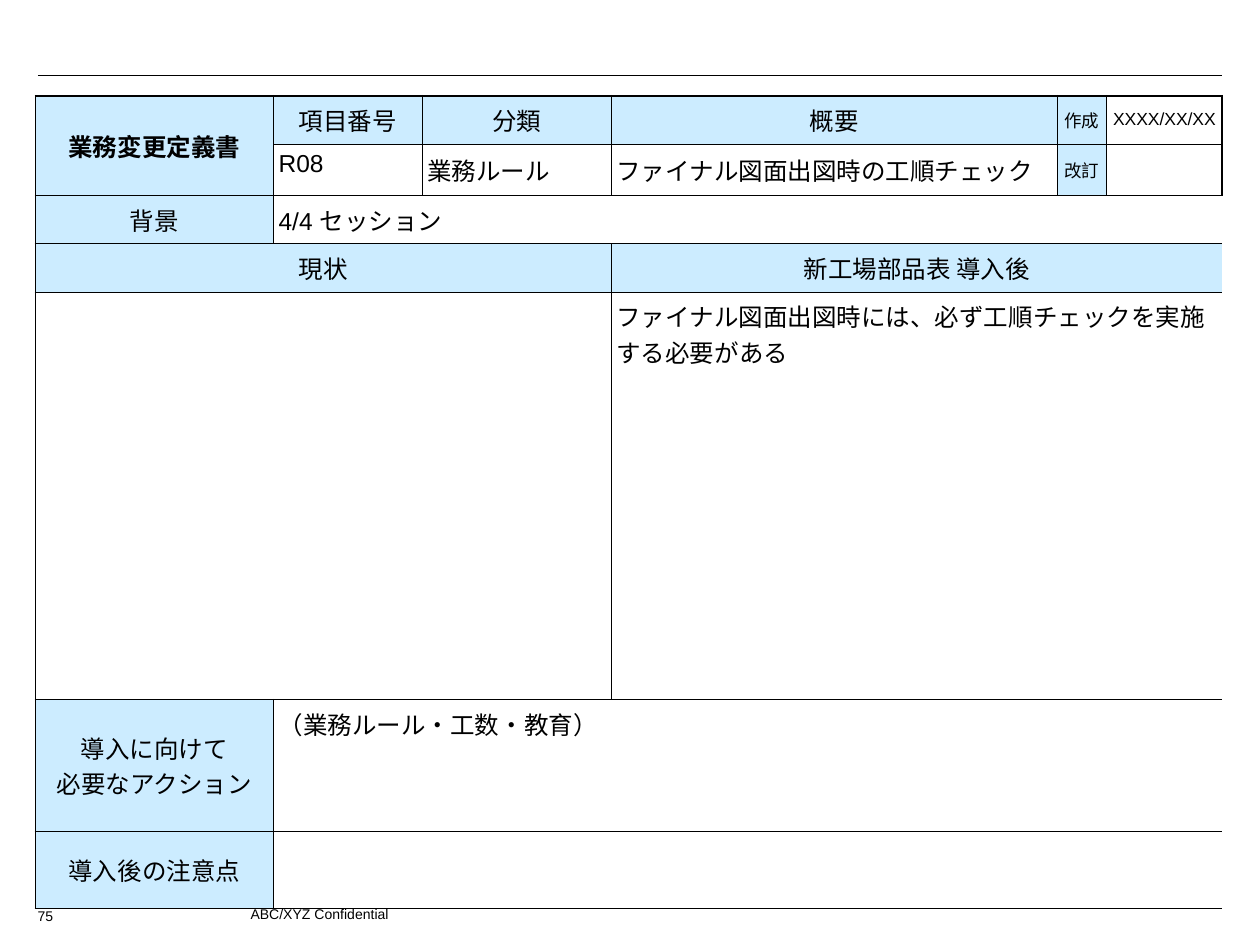
from dataclasses import dataclass
from itertools import product
from lxml.etree import SubElement
from pptx import Presentation
from pptx.dml.color import RGBColor
from pptx.enum.shapes import MSO_CONNECTOR
from pptx.enum.text import MSO_ANCHOR, PP_ALIGN
from pptx.oxml.ns import qn
from pptx.util import Pt


@dataclass(frozen=True)
class Theme:
    """Colours, font and sizes of the form."""
    ink: str = "000000"
    head: str = "CCECFF"
    font: str = "Arial"
    body: float = 14
    date: float = 10
    foot: float = 8
    thin: float = 0.45
    thick: float = 1.08


@dataclass(frozen=True)
class Field:
    """One form field: place, span, text and look."""
    row: int
    col: int
    text: str = ""
    high: int = 1
    wide: int = 1
    head: bool = False
    mid: bool = False
    center: bool = False
    bold: bool = False
    size: float = Theme.body
    side: float = 2.9


def label(row, col, text, **look):
    """Return a shaded, centred heading field."""
    return Field(row, col, text, head=True, mid=True, center=True, **look)


THEME = Theme()
COLS = [136.1, 85, 108, 254.9, 28.1, 66.2]
ROWS = [22.4, 22.4, 22.8, 22.4, 232.8, 75.4, 44.2]
FIELDS = [
    label(0, 0, "業務変更定義書", high=2, bold=True),
    label(0, 1, "項目番号"),
    label(0, 2, "分類"),
    label(0, 3, "概要"),
    label(0, 4, "作成", size=THEME.date, side=1.4),
    Field(0, 5, "XXXX/XX/XX", mid=True, center=True, size=THEME.date),
    Field(1, 1, "R08"),
    Field(1, 2, "業務ルール", mid=True),
    Field(1, 3, "ファイナル図面出図時の工順チェック", mid=True),
    label(1, 4, "改訂", size=THEME.date, side=1.4),
    Field(1, 5),
    label(2, 0, "背景"),
    Field(2, 1, "4/4 セッション", wide=5),
    label(3, 0, "現状", wide=3),
    label(3, 3, "新工場部品表 導入後", wide=3),
    Field(4, 0, wide=3),
    Field(4, 3, "ファイナル図面出図時には、必ず工順チェックを実施する必要がある", wide=3),
    label(5, 0, "導入に向けて\n必要なアクション"),
    Field(5, 1, "（業務ルール・工数・教育）", wide=5),
    label(6, 0, "導入後の注意点"),
    Field(6, 1, wide=5),
]


def write(frame, text, size, bold=False, align=PP_ALIGN.LEFT):
    """Fill a text frame, one paragraph for each line of text."""
    for pos, line in enumerate(text.split("\n")):
        para = frame.add_paragraph() if pos else frame.paragraphs[0]
        para.alignment = align
        if line:
            run = para.add_run()
            run.text = line
            run.font.name = THEME.font
            run.font.size = Pt(size)
            run.font.bold = bold
            run.font.color.rgb = RGBColor.from_string(THEME.ink)


def border(cell, edges):
    """Draw the four cell borders; a width of zero hides one."""
    props = cell._tc.get_or_add_tcPr()
    for name, width in edges.items():
        line = SubElement(props, qn(f"a:ln{name}"), w=str(Pt(width)))
        if width:
            fill = SubElement(line, qn("a:solidFill"))
            SubElement(fill, qn("a:srgbClr"), val=THEME.ink)
        else:
            SubElement(line, qn("a:noFill"))


def outline(table, field):
    """Border a field, heavy where it meets the edge of the table."""
    last, end = field.row + field.high - 1, field.col + field.wide - 1
    rows, cols = range(field.row, last + 1), range(field.col, end + 1)

    def width(inner, outer):
        return THEME.thick if outer else THEME.thin if inner else 0

    for row, col in product(rows, cols):
        border(table.cell(row, col), {
            "L": width(col == field.col, col == 0),
            "R": width(col == end, col == len(COLS) - 1),
            "T": width(row == field.row, row == 0),
            "B": width(row == last, row == len(ROWS) - 1),
        })


def place(table, field):
    """Merge, border, shade and write one field."""
    cell = table.cell(field.row, field.col)
    if field.high * field.wide > 1:
        cell.merge(table.cell(field.row + field.high - 1, field.col + field.wide - 1))
    outline(table, field)
    if field.head:
        cell.fill.solid()
        cell.fill.fore_color.rgb = RGBColor.from_string(THEME.head)
    else:
        cell.fill.background()
    cell.margin_left = cell.margin_right = Pt(field.side)
    cell.margin_top = cell.margin_bottom = Pt(3.6)
    cell.vertical_anchor = MSO_ANCHOR.MIDDLE if field.mid else MSO_ANCHOR.TOP
    align = PP_ALIGN.CENTER if field.center else PP_ALIGN.LEFT
    write(cell.text_frame, field.text, field.size, field.bold, align)


def form(slide, left, top):
    """Build the change definition form."""
    table = slide.shapes.add_table(
        len(ROWS), len(COLS), Pt(left), Pt(top), Pt(sum(COLS)), Pt(sum(ROWS))).table
    table.first_row = table.horz_banding = False
    for col, width in zip(table.columns, COLS):
        col.width = Pt(width)
    for row, height in zip(table.rows, ROWS):
        row.height = Pt(height)
    for field in FIELDS:
        place(table, field)


def rule(slide, left, top, width):
    """Draw the line above the form."""
    line = slide.shapes.add_connector(
        MSO_CONNECTOR.STRAIGHT, Pt(left), Pt(top), Pt(left + width), Pt(top))
    line.line.color.rgb = RGBColor.from_string(THEME.ink)
    line.line.width = Pt(0.75)
    SubElement(line._element.spPr, qn("a:effectLst"))


def footer(slide, left, top):
    """Place the confidentiality note and the page number."""
    notes = [(121.7, 0, 468, "ABC/XYZ Confidential"), (0, 0.7, 28.8, "75")]
    for across, down, width, text in notes:
        box = slide.shapes.add_textbox(
            Pt(left + across), Pt(top + down), Pt(width), Pt(14.4))
        box.text_frame.word_wrap = True
        write(box.text_frame, text, THEME.foot)


def main():
    """Build and save the slide."""
    deck = Presentation()
    deck.slide_width, deck.slide_height = Pt(720), Pt(540)
    slide = deck.slides.add_slide(deck.slide_layouts[6])
    rule(slide, 21.6, 43.2, 676.8)
    form(slide, 20.2, 54.7)
    footer(slide, 14.4, 514.1)
    deck.save("out.pptx")


if __name__ == "__main__":
    main()
